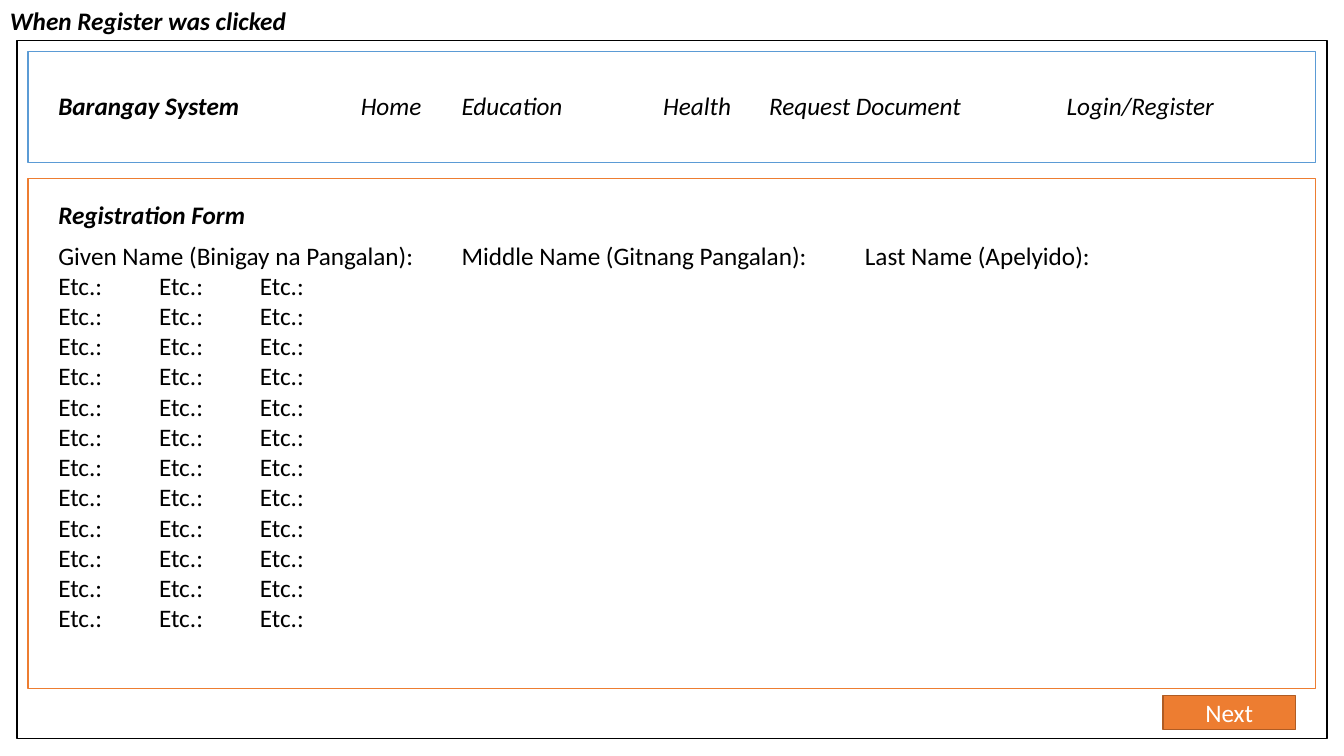
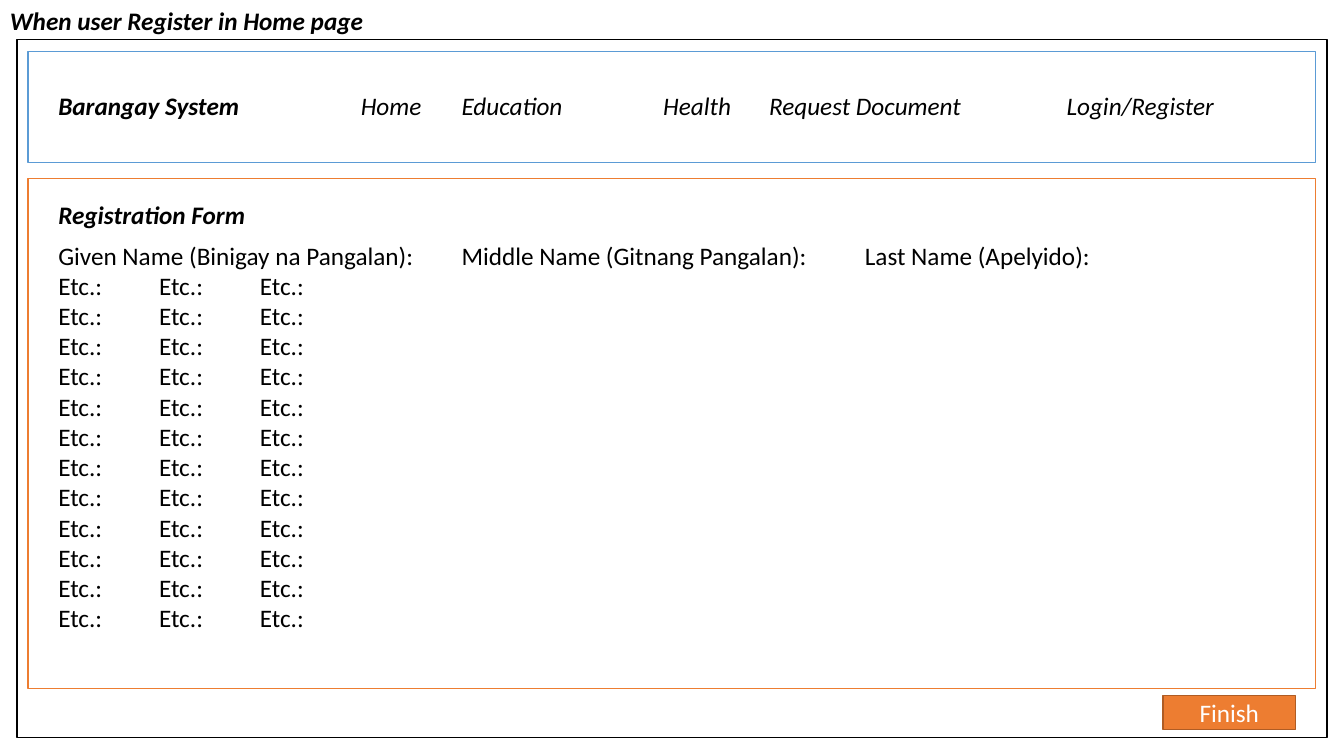
from dataclasses import dataclass

from lxml.etree import SubElement
from pptx import Presentation
from pptx.dml.color import RGBColor as Rgb
from pptx.enum.shapes import MSO_SHAPE as Preset
from pptx.enum.text import MSO_ANCHOR as Anchor, MSO_AUTO_SIZE as AutoSize, PP_ALIGN as Align
from pptx.oxml.ns import qn
from pptx.util import Inches, Pt


@dataclass(frozen=True)
class Theme:
    font: str = "Calibri"
    size: int = 18
    rule: int = 1
    ink: str = "000000"
    paper: str = "FFFFFF"
    blue: str = "5B9BD5"
    orange: str = "ED7D31"
    rust: str = "AF5C24"


THEME = Theme()

deck = Presentation()
deck.slide_width, deck.slide_height = Inches(13.33), Inches(7.5)


def add_area(slide, left, top, width, height, line=None, fill=THEME.paper):
    """Place a box in percent of the slide: a rectangle if it has a line, else a text box."""
    across, down = deck.slide_width / 100, deck.slide_height / 100
    place = [int(left * across), int(top * down), int(width * across), int(height * down)]
    if line is None:
        return slide.shapes.add_textbox(*place)
    area = slide.shapes.add_shape(Preset.RECTANGLE, *place)
    area.shadow.inherit = False
    area.fill.solid()
    area.fill.fore_color.rgb = Rgb.from_string(fill)
    area.line.color.rgb = Rgb.from_string(line)
    area.line.width = Pt(THEME.rule)
    return area


def write(area, *runs, first=True, bold=False, italic=False, color=THEME.ink,
          align=Align.LEFT, anchor=Anchor.TOP, wrap=True, grow=True, stops=()):
    """Write one paragraph; a run is text or (text, bold), and stops are tab stops in inches."""
    frame = area.text_frame
    frame.word_wrap = wrap
    frame.vertical_anchor = anchor
    frame.auto_size = AutoSize.SHAPE_TO_FIT_TEXT if grow else AutoSize.NONE
    paragraph = frame.paragraphs[0] if first else frame.add_paragraph()
    paragraph.alignment = align
    if stops:
        tabs = SubElement(paragraph._p.get_or_add_pPr(), qn("a:tabLst"))
        for stop in stops:
            SubElement(tabs, qn("a:tab"), pos=str(Inches(stop)), algn="l")
    for part in runs:
        text, weight = (part, bold) if isinstance(part, str) else part
        run = paragraph.add_run()
        run.text = text
        run.font.name, run.font.size = THEME.font, Pt(THEME.size)
        run.font.bold, run.font.italic = weight, italic
        run.font.color.rgb = Rgb.from_string(color)


# Side margins and the height of one text line, in percent of the slide
FRAME, PANEL, TEXT = 1.27, 2.1, 3.6
LINE = 5.33

MENU = ["Home", "Education", "Health", "Request Document", "Login/Register"]
MENU_STOPS = (3, 4, 6, 7.05, 10)
NAMES = ["Given Name (Binigay na Pangalan):", "Middle Name (Gitnang Pangalan):",
         "Last Name (Apelyido):"]
FIELD_ROWS = [(NAMES, (4, 8))] + [(["Etc.:"] * 3, (1, 2))] * 12

# Caption, caption width, top of the page frame, button label
SCREENS = [
    ("When Register was clicked", 22.28, 5.33, "Next"),
    ("When user Register in Home page", 28.13, 5.2, "Finish"),
]

for caption, caption_width, frame_top, action in SCREENS:
    slide = deck.slides.add_slide(deck.slide_layouts[6])

    heading = add_area(slide, 0, 0, caption_width, LINE)
    write(heading, caption, bold=True, italic=True, wrap=False)
    add_area(slide, FRAME, frame_top, 100 - 2 * FRAME, 92.4, line=THEME.ink)

    add_area(slide, PANEL, 6.8, 100 - 2 * PANEL, 14.67, line=THEME.blue)
    menu = add_area(slide, TEXT, 11.33, 100 - 2 * TEXT, LINE)
    write(menu, ("Barangay System\t", True), "\t".join(MENU), italic=True, stops=MENU_STOPS)

    add_area(slide, PANEL, 23.6, 100 - 2 * PANEL, 67.47, line=THEME.orange)
    form_title = add_area(slide, TEXT, 25.73, 29.1, LINE)
    write(form_title, "Registration Form", bold=True, italic=True)
    fields = add_area(slide, TEXT, 31.07, 100 - 2 * TEXT, 53.87)
    for row, (labels, stops) in enumerate(FIELD_ROWS):
        write(fields, "\t".join(labels), first=row == 0, stops=stops)

    button = add_area(slide, 86.55, 92, 9.83, 4.53, line=THEME.rust, fill=THEME.orange)
    write(button, action, color=THEME.paper, align=Align.CENTER, anchor=Anchor.MIDDLE, grow=False)

deck.save("out.pptx")
